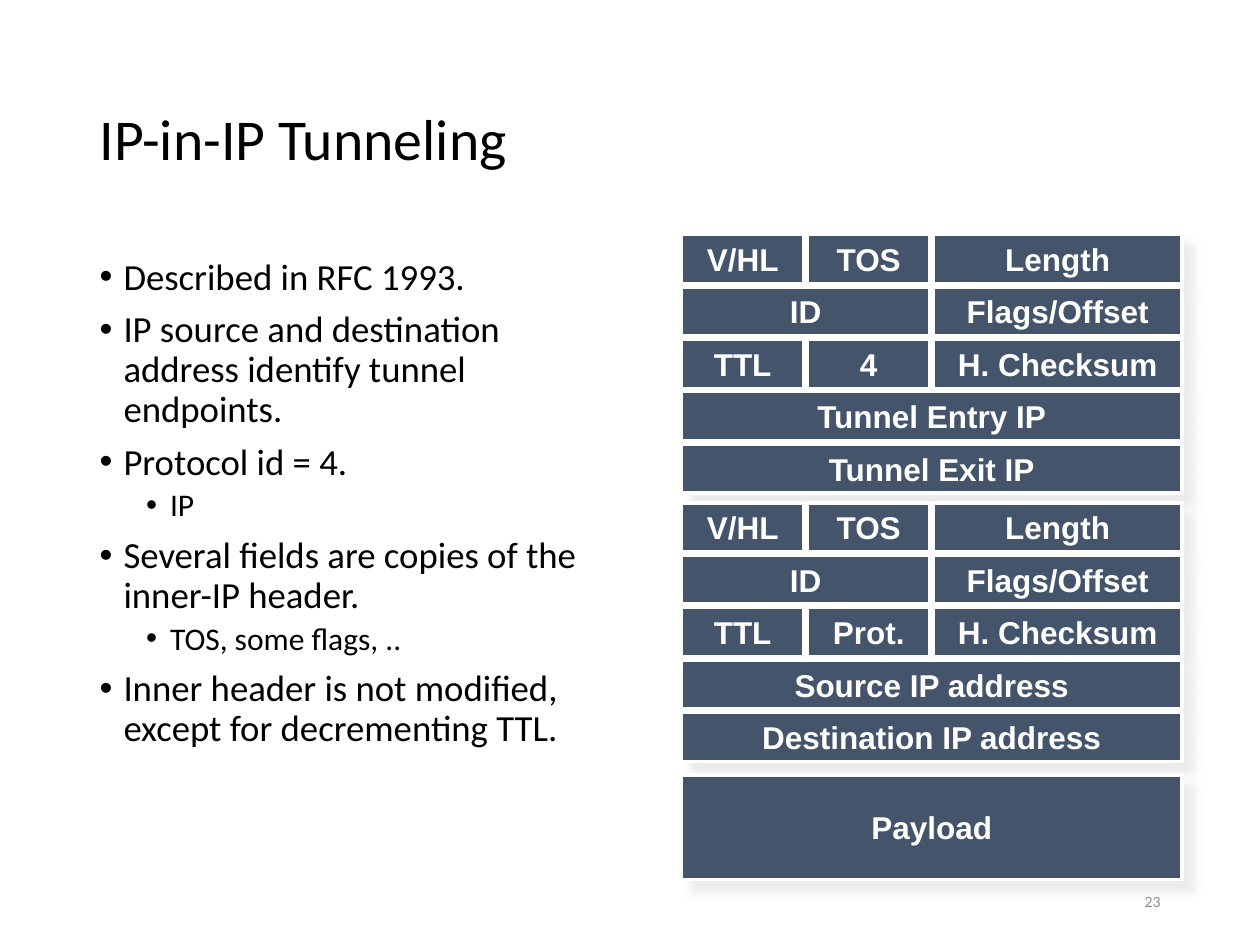
"""Build a slide on IP-in-IP tunneling with the stacked packet headers."""
from dataclasses import dataclass

import pptx
import pptx.dml.color
import pptx.enum.shapes
import pptx.enum.text
import pptx.oxml
import pptx.oxml.ns
import pptx.util
from lxml import etree

Inches, Pt = pptx.util.Inches, pptx.util.Pt
Align, Anchor = pptx.enum.text.PP_ALIGN, pptx.enum.text.MSO_ANCHOR


@dataclass(frozen=True)
class Theme:
    text: str = "000000"
    muted: str = "8C8C8C"
    field: str = "44546A"
    light: str = "FFFFFF"
    shadow: str = "E7E6E6"
    prose: str = "Calibri"
    label: str = "Arial"
    title_size: int = 33
    body_sizes: tuple = (21, 18)
    body_gaps: tuple = (7.5, 3.8)
    label_size: int = 18
    number_size: int = 9


THEME = Theme()
TITLE = "IP-in-IP Tunneling"
PAGE_NUMBER = "23"
POINTS = [
    (0, "Described in RFC 1993."),
    (0, "IP source and destination address identify tunnel endpoints."),
    (0, "Protocol id = 4."),
    (1, "IP"),
    (0, "Several fields are copies of the inner-IP header."),
    (1, "TOS, some flags, .."),
    (0, "Inner header is not modified, except for decrementing TTL."),
]


def header(protocol, source, destination):
    """List the rows of an IP header as (label, columns) fields."""
    return [
        [("V/HL", 1), ("TOS", 1), ("Length", 2)],
        [("ID", 2), ("Flags/Offset", 2)],
        [("TTL", 1), (protocol, 1), ("H. Checksum", 2)],
        [(source, 4)],
        [(destination, 4)],
    ]


BLOCKS = [
    (1.86, 0.39, header("4", "Tunnel Entry IP", "Tunnel Exit IP")),
    (3.99, 0.39, header("Prot.", "Source IP address", "Destination IP address")),
    (6.15, 0.83, [[("Payload", 4)]]),
]
GRID_LEFT, COLUMN, ROW, GAP = 5.41, 1, 0.416, 0.03


def write(paragraph, text, font=THEME.prose, size=18, color=THEME.text,
          bold=False, align=Align.LEFT, spacing=None, before=0):
    """Put formatted text into a paragraph."""
    paragraph.alignment = align
    paragraph.space_before = Pt(before)
    if spacing:
        paragraph.line_spacing = spacing
    run = paragraph.add_run()
    run.text = text
    run.font.name, run.font.size, run.font.bold = font, Pt(size), bold
    run.font.color.rgb = pptx.dml.color.RGBColor.from_string(color)


def place(shape, left, top, width, height):
    """Move and size a shape in inches."""
    shape.left, shape.top = Inches(left), Inches(top)
    shape.width, shape.height = Inches(width), Inches(height)


def add_bullet(paragraph, level):
    """Give a paragraph a hanging bullet at its level."""
    paragraph.level = level
    properties = paragraph._p.get_or_add_pPr()
    properties.set("marL", str(Inches(0.19 + 0.37 * level)))
    properties.set("indent", str(-Inches(0.19)))
    for tag, key, value in (("a:buFont", "typeface", "Arial"), ("a:buChar", "char", "•")):
        etree.SubElement(properties, pptx.oxml.ns.qn(tag)).set(key, value)


def add_shadow(shape):
    """Cast a soft shadow to the lower right."""
    shape._element.spPr.append(pptx.oxml.parse_xml(
        f'<a:effectLst {pptx.oxml.ns.nsdecls("a")}>'
        f'<a:outerShdw blurRad="{Pt(5)}" dist="{Pt(8.5)}" dir="2700000" algn="tl" rotWithShape="0">'
        f'<a:srgbClr val="{THEME.shadow}"><a:alpha val="75000"/></a:srgbClr>'
        '</a:outerShdw></a:effectLst>'))


def add_field(slide, label, left, top, width, height):
    """Draw one labelled header field."""
    field = slide.shapes.add_shape(
        pptx.enum.shapes.MSO_SHAPE.RECTANGLE,
        Inches(left), Inches(top), Inches(width), Inches(height))
    field.fill.solid()
    field.fill.fore_color.rgb = pptx.dml.color.RGBColor.from_string(THEME.field)
    field.line.color.rgb = pptx.dml.color.RGBColor.from_string(THEME.light)
    field.line.width = Pt(2)
    add_shadow(field)
    field.text_frame.word_wrap = False
    field.text_frame.vertical_anchor = Anchor.MIDDLE
    write(field.text_frame.paragraphs[0], label, font=THEME.label, size=THEME.label_size,
          color=THEME.light, bold=True, align=Align.CENTER)


def main():
    """Assemble and save the slide."""
    deck = pptx.Presentation()
    deck.slide_width, deck.slide_height = Inches(10), Inches(7.5)
    slide = deck.slides.add_slide(deck.slide_layouts[1])
    title, points = slide.placeholders

    place(title, 0.69, 0.4, 8.62, 1.45)
    title.text_frame.vertical_anchor = Anchor.MIDDLE
    title.text_frame.auto_size = pptx.enum.text.MSO_AUTO_SIZE.NONE
    write(title.text_frame.paragraphs[0], TITLE, size=THEME.title_size, spacing=0.9)

    place(points, 0.69, 2, 4.25, 4.76)
    points.text_frame.auto_size = pptx.enum.text.MSO_AUTO_SIZE.NONE
    for index, (level, text) in enumerate(POINTS):
        paragraph = points.text_frame.add_paragraph() if index else points.text_frame.paragraphs[0]
        add_bullet(paragraph, level)
        write(paragraph, text, size=THEME.body_sizes[level], spacing=0.9,
              before=THEME.body_gaps[level] if index else 0)

    number = slide.shapes.add_textbox(Inches(7.06), Inches(6.95), Inches(2.25), Inches(0.4))
    number.text_frame.word_wrap = True
    number.text_frame.vertical_anchor = Anchor.MIDDLE
    write(number.text_frame.paragraphs[0], PAGE_NUMBER, size=THEME.number_size,
          color=THEME.muted, align=Align.RIGHT)

    for top, height, rows in BLOCKS:
        for row, fields in enumerate(rows):
            column = 0
            for label, span in fields:
                add_field(slide, label, GRID_LEFT + column * COLUMN, top + row * ROW,
                          span * COLUMN - GAP, height)
                column += span

    deck.save("out.pptx")


if __name__ == "__main__":
    main()
